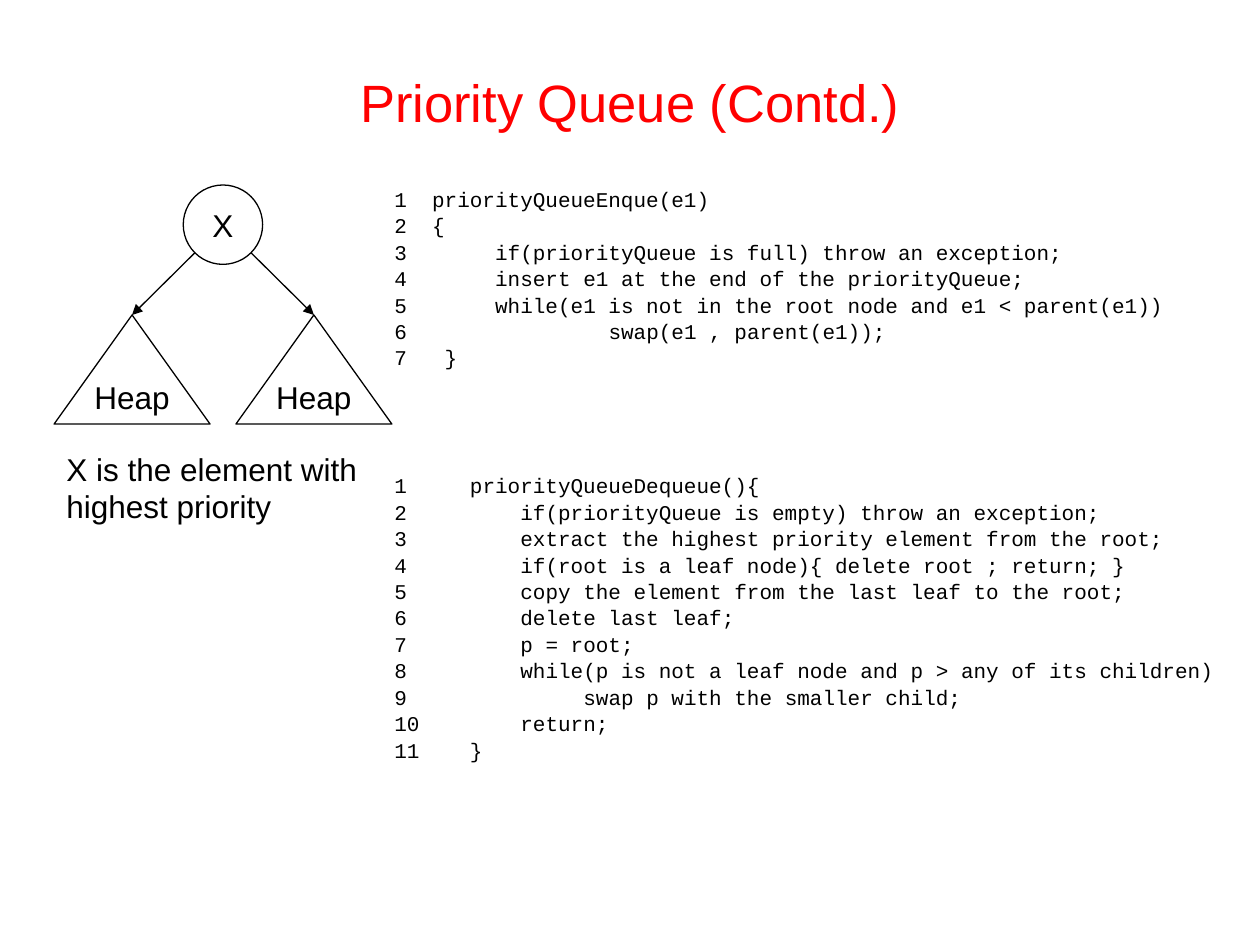
import math

from lxml import etree
from pptx import Presentation
from pptx.dml.color import RGBColor
from pptx.enum.shapes import MSO_CONNECTOR, MSO_SHAPE
from pptx.enum.text import MSO_ANCHOR, PP_ALIGN
from pptx.oxml.ns import qn
from pptx.util import Cm, Pt

CENTER, MIDDLE = PP_ALIGN.CENTER, MSO_ANCHOR.MIDDLE
CIRCLE, TRIANGLE = MSO_SHAPE.OVAL, MSO_SHAPE.FLOWCHART_EXTRACT
STRAIGHT = MSO_CONNECTOR.STRAIGHT
TITLE_ONLY = 5
BLACK, RED = "000000", "FF0000"
CHAR_WIDTH = 0.254  # cm, one Courier New character at 12 pt
LINE_GAP, ROUTINE_GAP = 3.6, 61.5  # pt, before a line and between routines

# Each line of code with the column it starts in
ENQUEUE = [
    (3, "priorityQueueEnque(e1)"),
    (3, "{"),
    (8, "if(priorityQueue is full) throw an exception;"),
    (8, "insert e1 at the end of the priorityQueue;"),
    (8, "while(e1 is not in the root node and e1 < parent(e1))"),
    (17, "swap(e1 , parent(e1));"),
    (4, "}"),
]
DEQUEUE = [
    (6, "priorityQueueDequeue(){"),
    (10, "if(priorityQueue is empty) throw an exception;"),
    (10, "extract the highest priority element from the root;"),
    (10, "if(root is a leaf node){ delete root ; return; }"),
    (10, "copy the element from the last leaf to the root;"),
    (10, "delete last leaf;"),
    (10, "p = root;"),
    (10, "while(p is not a leaf node and p > any of its children)"),
    (15, "swap p with the smaller child;"),
    (10, "return;"),
    (6, "}"),
]


def rgb(hex_string):
    return RGBColor.from_string(hex_string)


def style(paragraph, size, font="Arial", color=BLACK):
    for run in paragraph.runs:
        run.font.size = Pt(size)
        run.font.name = font
        run.font.color.rgb = rgb(color)


def add_title(slide, left, top, width, height):
    title = slide.shapes.title
    title.left, title.top, title.width, title.height = map(Cm, (left, top, width, height))
    title.text_frame.text = "Priority Queue (Contd.)"
    title.text_frame.vertical_anchor = MIDDLE
    paragraph = title.text_frame.paragraphs[0]
    paragraph.alignment = CENTER
    style(paragraph, 30, color=RED)


def add_node(slide, preset, label, left, top, width, height):
    node = slide.shapes.add_shape(preset, Cm(left), Cm(top), Cm(width), Cm(height))
    node.shadow.inherit = False
    node.fill.background()
    node.line.color.rgb = rgb(BLACK)
    node.line.width = Pt(0.75)
    frame = node.text_frame
    frame.text = label
    frame.word_wrap = False
    frame.vertical_anchor = MIDDLE
    frame.paragraphs[0].alignment = CENTER
    style(frame.paragraphs[0], 18)


def add_arrow(slide, x1, y1, x2, y2):
    arrow = slide.shapes.add_connector(STRAIGHT, Cm(x1), Cm(y1), Cm(x2), Cm(y2))
    arrow.line.color.rgb = rgb(BLACK)
    arrow.line.width = Pt(0.75)
    etree.SubElement(arrow.line._get_or_add_ln(), qn("a:tailEnd"), type="triangle")
    etree.SubElement(arrow._element.spPr, qn("a:effectLst"))


def add_heap_tree(slide, left, top, width, height):
    diameter, heap_height, heap_gap = 1.6, 2.2, 0.52
    heap_width = (width - heap_gap) / 2
    center = left + width / 2
    heap_top = top + height - heap_height
    reach = diameter / 2 * math.sqrt(0.5)  # 45 degrees down the circle

    add_node(slide, CIRCLE, "X", center - diameter / 2, top, diameter, diameter)
    for side in (-1, 1):
        apex = center + side * (heap_width + heap_gap) / 2
        add_arrow(slide, center + side * reach, top + diameter / 2 + reach, apex, heap_top)
        add_node(slide, TRIANGLE, "Heap", apex - heap_width / 2, heap_top,
                 heap_width, heap_height)


def add_text_box(slide, left, top, width, height):
    box = slide.shapes.add_textbox(Cm(left), Cm(top), Cm(width), Cm(height))
    box.text_frame.word_wrap = True
    return box.text_frame


def add_caption(slide, left, top, width, height):
    frame = add_text_box(slide, left, top, width, height)
    frame.text = "X is the element with highest priority"
    style(frame.paragraphs[0], 18)


def add_tab_stop(paragraph, column):
    tabs = etree.SubElement(paragraph._p.get_or_add_pPr(), qn("a:tabLst"))
    etree.SubElement(tabs, qn("a:tab"), pos=str(Cm(column * CHAR_WIDTH)), algn="l")


def add_code(slide, routines, left, top, width, height):
    frame = add_text_box(slide, left, top, width, height)
    lines = [(number, column, code) for routine in routines
             for number, (column, code) in enumerate(routine, 1)]
    for index, (number, column, code) in enumerate(lines):
        paragraph = frame.add_paragraph() if index else frame.paragraphs[0]
        paragraph.text = f"{number}\t{code}"
        paragraph.line_spacing = 0.8
        starts_next_routine = index and number == 1
        paragraph.space_before = Pt(ROUTINE_GAP if starts_next_routine else LINE_GAP)
        add_tab_stop(paragraph, column)
        style(paragraph, 12, "Courier New")


def main():
    prs = Presentation()
    prs.slide_width, prs.slide_height = Cm(25.4), Cm(19.05)
    slide = prs.slides.add_slide(prs.slide_layouts[TITLE_ONLY])
    add_title(slide, 1.27, 0.76, 22.86, 2.57)
    add_code(slide, (ENQUEUE, DEQUEUE), 7.7, 3.73, 17.2, 13.28)
    add_heap_tree(slide, 1.09, 3.73, 6.81, 4.82)
    add_caption(slide, 1.09, 8.94, 6.6, 1.78)
    prs.save("out.pptx")


if __name__ == "__main__":
    main()
